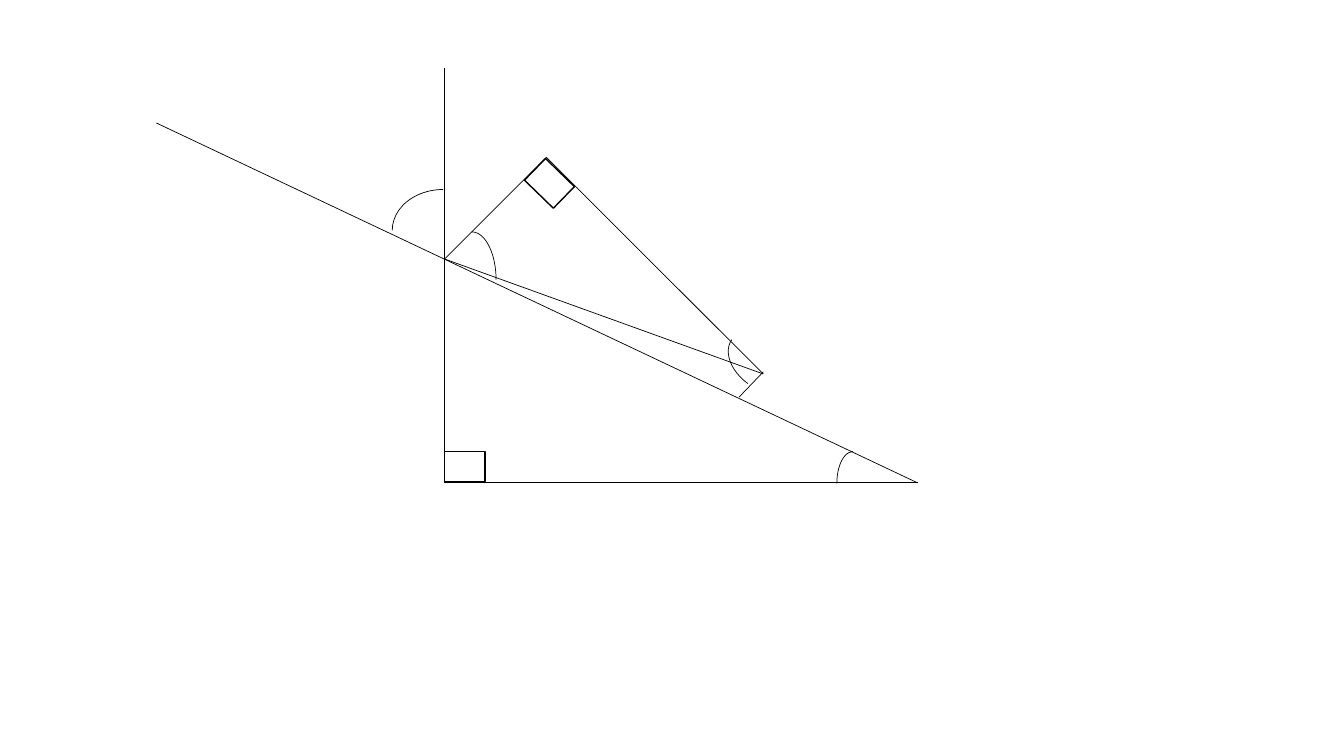
"""Draw two hinged right triangles with their angle marks on one slide."""
from dataclasses import dataclass

from lxml import etree
from pptx import Presentation
from pptx.dml.color import RGBColor
from pptx.enum.shapes import MSO_CONNECTOR, MSO_SHAPE
from pptx.oxml.ns import qn
from pptx.slide import Slide
from pptx.util import Inches, Pt

STRAIGHT = MSO_CONNECTOR.STRAIGHT
ARC = MSO_SHAPE.ARC
RECTANGLE = MSO_SHAPE.RECTANGLE
COLUMNS, ROWS = 1333, 750
CELL = Inches(0.01)
BLANK_LAYOUT = 6


@dataclass(frozen=True)
class Theme:
    """Colours and line weights of the drawing."""
    ink: RGBColor = RGBColor(0x00, 0x00, 0x00)
    paper: RGBColor = RGBColor(0xFF, 0xFF, 0xFF)
    thin: Pt = Pt(0.5)
    bold: Pt = Pt(1)


@dataclass(frozen=True)
class Point:
    """A grid position in columns and rows."""
    column: int
    row: int


@dataclass(frozen=True)
class Segment:
    """A straight line between two points."""
    start: Point
    end: Point


@dataclass(frozen=True)
class AngleMark:
    """A right-angle box or an angle arc, placed by its unrotated frame."""
    corner: Point
    columns: int
    rows: int
    turn: float = 0
    mirrored: bool = False


THEME = Theme()
WALL_TOP = Point(441, 67)
FOOT = Point(441, 479)
FAR_END = Point(910, 479)
RAMP_TOP = Point(155, 122)
HINGE = Point(441, 257)
APEX = Point(542, 156)
TIP = Point(757, 371)

SEGMENTS = (
    Segment(WALL_TOP, FOOT),
    Segment(FOOT, FAR_END),
    Segment(RAMP_TOP, FAR_END),
    Segment(HINGE, APEX),
    Segment(TIP, APEX),
    Segment(HINGE, TIP),
    Segment(Point(733, 394), Point(757, 369)),
)
RIGHT_ANGLES = (
    AngleMark(Point(441, 448), 40, 30),
    AngleMark(Point(525, 167), 40, 30, turn=44.2),
)
ANGLE_ARCS = (
    AngleMark(Point(830, 448), 32, 63, mirrored=True),
    AngleMark(Point(389, 188), 101, 81, mirrored=True),
    AngleMark(Point(444, 230), 48, 95),
    AngleMark(Point(731, 321), 52, 77, turn=305.8, mirrored=True),
)


def draw_segment(slide: Slide, segment: Segment) -> None:
    """Draw a thin line without shadow."""
    ends = (segment.start.column, segment.start.row,
            segment.end.column, segment.end.row)
    side = slide.shapes.add_connector(STRAIGHT, *(CELL * end for end in ends))
    side.line.color.rgb = THEME.ink
    side.line.width = THEME.thin
    etree.SubElement(side._element.spPr, qn("a:effectLst"))


def draw_mark(slide: Slide, mark: AngleMark, outline: MSO_SHAPE,
              weight: Pt, filled: bool) -> None:
    """Draw an angle mark with the given outline and line weight."""
    frame = (mark.corner.column, mark.corner.row, mark.columns, mark.rows)
    angle = slide.shapes.add_shape(outline, *(CELL * length for length in frame))
    angle.shadow.inherit = False
    angle.rotation = mark.turn
    if mark.mirrored:
        angle._element.spPr.xfrm.set("flipH", "1")
    if filled:
        angle.fill.solid()
        angle.fill.fore_color.rgb = THEME.paper
    else:
        angle.fill.background()
    angle.line.color.rgb = THEME.ink
    angle.line.width = weight


def main() -> None:
    """Build the slide and save it."""
    deck = Presentation()
    deck.slide_width, deck.slide_height = CELL * COLUMNS, CELL * ROWS
    slide = deck.slides.add_slide(deck.slide_layouts[BLANK_LAYOUT])
    for segment in SEGMENTS:
        draw_segment(slide, segment)
    for mark in RIGHT_ANGLES:
        draw_mark(slide, mark, RECTANGLE, THEME.bold, filled=True)
    for mark in ANGLE_ARCS:
        draw_mark(slide, mark, ARC, THEME.thin, filled=False)
    deck.save("out.pptx")


if __name__ == "__main__":
    main()
